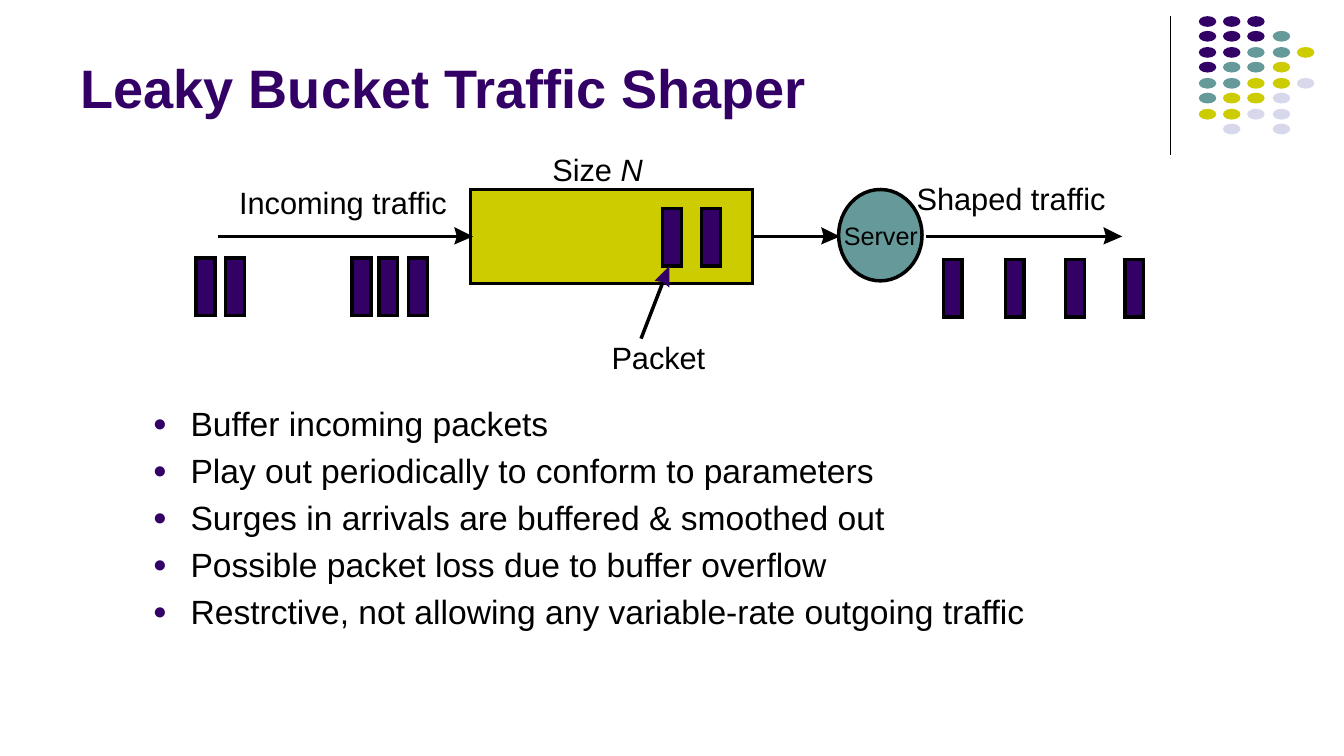
"""Build the Leaky Bucket Traffic Shaper slide."""
from dataclasses import dataclass

from lxml.etree import SubElement
from pptx import Presentation
from pptx.dml.color import RGBColor
from pptx.enum.shapes import MSO_CONNECTOR, MSO_SHAPE
from pptx.enum.text import MSO_ANCHOR
from pptx.oxml.ns import qn
from pptx.util import Emu, Pt

SCALE = 9144


def px(n):
    return Emu(n * SCALE)


@dataclass(frozen=True)
class Theme:
    font: str = "Arial"
    ink: str = "000000"
    purple: str = "330066"
    teal: str = "669999"
    lime: str = "CCCC00"
    pale: str = "D8D8EC"
    title: float = 29
    body: float = 18
    label: float = 16.5
    small: float = 13.5
    stroke: float = 1.88
    rule: float = 0.75
    gap: float = 3.6


class Deck:
    def __init__(self, slide, theme):
        self.s, self.t = slide, theme

    def _paint(self, sp, fill, outlined):
        sp.shadow.inherit = False
        sp.fill.solid()
        sp.fill.fore_color.rgb = RGBColor.from_string(fill)
        if outlined:
            sp.line.color.rgb = RGBColor.from_string(self.t.ink)
            sp.line.width = Pt(self.t.stroke)
            ln = sp._element.spPr.find(qn("a:ln"))
            SubElement(ln, qn("a:miter"), lim="800000")
        else:
            sp.line.fill.background()
        return sp

    def shape(self, kind, box, fill, outlined=True):
        sp = self.s.shapes.add_shape(kind, *map(px, box))
        return self._paint(sp, fill, outlined)

    def packet(self, x, y):
        return self.shape(MSO_SHAPE.RECTANGLE, (x, y, 14, 43), self.t.purple)

    def polygon(self, points, fill):
        fb = self.s.shapes.build_freeform(*points[0], scale=SCALE)
        fb.add_line_segments(points[1:], close=True)
        return self._paint(fb.convert_to_shape(), fill, False)

    def line(self, x1, y1, x2, y2, width=None):
        ln = self.s.shapes.add_connector(
            MSO_CONNECTOR.STRAIGHT, *map(px, (x1, y1, x2, y2)))
        ln.line.color.rgb = RGBColor.from_string(self.t.ink)
        ln.line.width = Pt(width or self.t.stroke)
        SubElement(ln._element.spPr, qn("a:effectLst"))
        return ln

    def flow(self, x1, tip, y):
        ln = self.line(x1, y, tip - 10, y)
        self.polygon([(tip - 14, y + 6), (tip - 12, y), (tip - 14, y - 7),
                      (tip, y)], self.t.ink)
        return ln

    def run(self, p, text, size, color, bold=False, italic=False):
        r = p.add_run()
        r.text = text
        f = r.font
        f.name, f.size, f.bold, f.italic = self.t.font, Pt(size), bold, italic
        f.color.rgb = RGBColor.from_string(color)

    def frame(self, box, wrap=True):
        tf = self.s.shapes.add_textbox(*map(px, box)).text_frame
        tf.word_wrap = wrap
        return tf

    def label(self, box, text, size, italic=""):
        tf = self.frame(box, wrap=False)
        tf.margin_left = tf.margin_right = tf.margin_top = tf.margin_bottom = 0
        p = tf.paragraphs[0]
        self.run(p, text, size, self.t.ink)
        if italic:
            self.run(p, italic, size, self.t.ink, italic=True)

    def title(self, box, text):
        tf = self.frame(box)
        tf.vertical_anchor = MSO_ANCHOR.BOTTOM
        self.run(tf.paragraphs[0], text, self.t.title, self.t.purple, bold=True)

    def bullets(self, box, items):
        tf = self.frame(box)
        for i, item in enumerate(items):
            p = tf.add_paragraph() if i else tf.paragraphs[0]
            p.space_before = Pt(self.t.gap)
            pPr = p._p.get_or_add_pPr()
            pPr.set("marL", str(px(28)))
            pPr.set("indent", str(-px(28)))
            clr = SubElement(pPr, qn("a:buClr"))
            SubElement(clr, qn("a:srgbClr"), val=self.t.purple)
            SubElement(pPr, qn("a:buSzPct"), val="70000")
            SubElement(pPr, qn("a:buFont"), typeface=self.t.font)
            SubElement(pPr, qn("a:buChar"), char="●")
            self.run(p, item, self.t.body, self.t.ink)

    def dots(self, rows):
        colors = {"P": self.t.purple, "T": self.t.teal,
                  "L": self.t.lime, "F": self.t.pale}
        for r, row in enumerate(rows):
            for c, key in enumerate(row):
                if key in colors:
                    box = (round(892 + 73 * c / 4), round(12 + 80 * r / 7), 13, 8)
                    self.shape(MSO_SHAPE.OVAL, box, colors[key], False)


def main():
    prs = Presentation()
    prs.slide_width = px(1000)
    prs.slide_height = Emu(prs.slide_width * 9 // 16)
    t = Theme()
    d = Deck(prs.slides.add_slide(prs.slide_layouts[6]), t)

    d.line(871, 12, 871, 115, t.rule)
    d.dots(["PPP", "PPPT", "PPTTL", "PTTL", "TTLLF", "TLLF", "LLFF", ".F.F"])

    bucket = d.shape(MSO_SHAPE.RECTANGLE, (350, 141, 210, 70), t.lime)
    d.shape(MSO_SHAPE.OVAL, (624, 141, 62, 68), t.teal)
    axis = 176
    d.flow(560, 625, axis).begin_connect(bucket, 3)
    d.flow(689, 835, axis)
    d.flow(162, 352, axis).end_connect(bucket, 1)

    for y, xs in ((155, (493, 522)), (192, (146, 168, 262, 282, 304)),
                  (193, (702, 748, 793, 837))):
        for x in xs:
            d.packet(x, y)

    d.line(477, 252, 494, 208)
    d.polygon([(498, 214), (493, 210), (487, 209), (498, 198)], t.purple)

    d.label((178, 137, 156, 28), "Incoming traffic", t.label)
    d.label((682, 134, 142, 28), "Shaped traffic", t.label)
    d.label((411, 112, 68, 28), "Size ", t.label, italic="N")
    d.label((455, 252, 71, 28), "Packet", t.label)
    d.label((628, 164, 56, 23), "Server", t.small)

    d.title((50, 10, 825, 84), "Leaky Bucket Traffic Shaper")
    d.bullets((104, 295, 680, 150), [
        "Buffer incoming packets",
        "Play out periodically to conform to parameters",
        "Surges in arrivals are buffered & smoothed out",
        "Possible packet loss due to buffer overflow",
        "Restrctive, not allowing any variable-rate outgoing traffic",
    ])
    prs.save("out.pptx")


if __name__ == "__main__":
    main()
